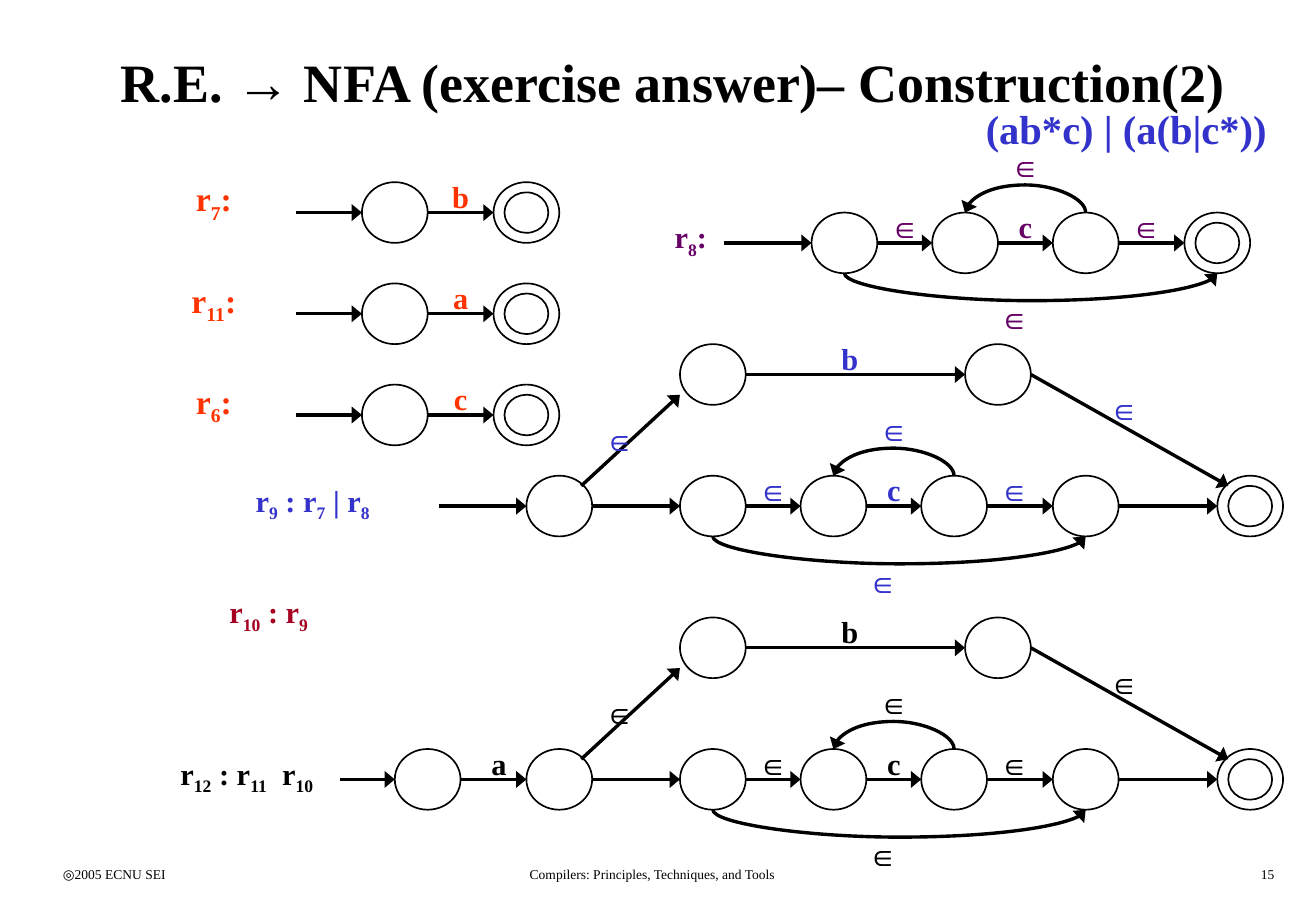
from lxml import etree
from pptx import Presentation
from pptx import util as u
from pptx.dml.color import RGBColor
from pptx.enum import shapes, text
from pptx.oxml import ns

THEME = {
    "font": "Times New Roman",
    "black": "000000", "orange": "FF3300", "blue": "3333CC",
    "purple": "660066", "red": "A50021",
    "title": 32, "formula": 24, "basic": 20, "label": 18, "footer": 8,
    "outline": 1, "arrow": 2,
}

deck = Presentation()
deck.slide_width, deck.slide_height = u.Inches(10.83), u.Inches(7.5)
page = deck.slides.add_slide(deck.slide_layouts[6])

# Grid of 120 columns and 90 rows; a state is 6 by 6
COL, ROW = deck.slide_width / 120, deck.slide_height / 90
STATE, RING, LINE = 6, 4, 4.8
CENTER, LEFT, RIGHT = text.PP_ALIGN.CENTER, text.PP_ALIGN.LEFT, text.PP_ALIGN.RIGHT


def write(words, col, row, cols, color, size="label", align=CENTER, rows=LINE):
    """Text box; every second part between underscores is a subscript."""
    box = page.shapes.add_textbox(*map(int, (col * COL, row * ROW, cols * COL, rows * ROW)))
    frame = box.text_frame
    frame.word_wrap = True
    if size == "title":
        frame.vertical_anchor = text.MSO_ANCHOR.MIDDLE
    para = frame.paragraphs[0]
    para.alignment = align
    for index, part in enumerate(words.split("_")):
        span = para.add_run()
        span.text = part
        span.font.name, span.font.size = THEME["font"], u.Pt(THEME[size])
        span.font.bold = size != "footer"
        span.font.color.rgb = RGBColor.from_string(THEME[color])
        if index % 2:
            span.font._element.set("baseline", "-25000")


def arrow(kind, *ends):
    """Connector with a wide triangle head, between two points in EMU."""
    line = page.shapes.add_connector(kind, *map(int, ends))
    line.line.width = u.Pt(THEME["arrow"])
    line.line.color.rgb = RGBColor.from_string(THEME["black"])
    etree.SubElement(line.line._get_or_add_ln(), ns.qn("a:tailEnd"),
                     type="triangle", w="lg", len="med")
    etree.SubElement(line._element.spPr, ns.qn("a:effectLst"))
    return line


# Title, formula and footer
write("R.E. → NFA (exercise answer)– Construction(2)", 4.65, 2, 113.5, "black", "title", rows=12)
write("(ab*c) | (a(b|c*))", 88.8, 9.7, 31, "blue", "formula", LEFT, 6)
for words, col, cols, align in [
    ("◎2005 ECNU SEI", 4.65, 25, LEFT),
    ("Compilers: Principles, Techniques, and Tools", 37, 45, CENTER),
    ("15", 92.3, 25, RIGHT),
]:
    write(words, col, 85, cols, "black", "footer", align, 3)

# Names of the expressions
for words, col, row, cols, color in [
    ("r_8_:", 59, 21, 8, "purple"),
    ("r_9_ : r_7_ | r_8", 20, 47, 17, "blue"),
    ("r_10_ : r_9", 16, 58, 17, "red"),
    ("r_12_ : r_11_  r_10", 14, 74, 17, "black"),
]:
    write(words, col, row, cols, color)

states, finals, moves, arcs, marks = [], [], [], [], []

# Single symbols: r7, r11, r6
for index, (name, symbol) in enumerate([("r_7_:", "b"), ("r_11_:", "a"), ("r_6_:", "c")]):
    row = 18 + 10 * index
    write(name, 15, row - 1, 9, "orange", "basic", rows=5.2)
    write(symbol, 39, row - 1, 6, "orange")
    states.append((33, row))
    finals.append((45, row))
    moves += [(27, row + 3, 33, row + 3), (39, row + 3, 45, row + 3)]

# Closure c* in r8, r9 and r12; only r8 ends with it
for col, row, color in [(74, 21, "purple"), (62, 47, "blue"), (62, 74, "black")]:
    states += [(col + step, row) for step in (0, 11, 22)]
    (finals if color == "purple" else states).append((col + 34, row))
    moves += [(col + start, row + 3, col + end, row + 3)
              for start, end in [(-8, 0), (6, 11), (17, 22), (28, 34)]]
    arcs += [(col + 3, col + 37, row + STATE), (col + 25, col + 14, row)]
    marks += [(mark, col + right, row + down, color) for mark, right, down in [
        ("∈", 5, -1), ("c", 16, -1), ("∈", 27, -1), ("∈", 16, -7), ("∈", 15, 8)]]

# Union b | c* in r9 and r12
for row, color in [(47, "blue"), (74, "black")]:
    states += [(48, row), (62, row - 13), (88, row - 13)]
    finals.append((111, row))
    moves += [(102, row + 3, 111, row + 3), (68, row - 10, 88, row - 10),
              (94, row - 10, 112, row + 1), (53, row + 1, 62, row - 8)]
    marks += [("∈", 99, row - 9, color), ("∈", 53, row - 6, color), ("b", 74, row - 14, color)]

# Entries: r9 directly, r12 through a
states.append((36, 74))
moves += [(40, 50, 48, 50), (31, 77, 36, 77), (42, 77, 48, 77)]
marks.append(("a", 42, 73, "black"))

# Draw the states; a final state has an inner ring
circles = [(col, row, STATE) for col, row in states + finals]
circles += [(col + 1, row + 1, RING) for col, row in finals]
for col, row, size in circles:
    circle = page.shapes.add_shape(
        shapes.MSO_SHAPE.OVAL, *map(int, (col * COL, row * ROW, size * COL, size * ROW)))
    circle.shadow.inherit = False
    circle.fill.background()
    circle.line.width = u.Pt(THEME["outline"])
    circle.line.color.rgb = RGBColor.from_string(THEME["black"])

# Draw the straight moves
for x1, y1, x2, y2 in moves:
    arrow(shapes.MSO_CONNECTOR.STRAIGHT, x1 * COL, y1 * ROW, x2 * COL, y2 * ROW)

# Draw the arcs: a thin curve turned on its side, bulging 3 rows
THIN = 1588
for start, end, row in arcs:
    middle, half = (start + end) / 2 * COL, abs(end - start) / 2 * COL
    backward = end < start
    curve = arrow(shapes.MSO_CONNECTOR.CURVE, middle - THIN / 2, row * ROW - half,
                  middle + THIN / 2, row * ROW + half)
    frame = curve._element.spPr.find(ns.qn("a:xfrm"))
    frame.set("rot", "16200000")
    frame.set("flipH", "1")
    if backward:
        frame.set("flipV", "1")
    bulge = round(3 * ROW / THIN * 100000) * (-1 if backward else 1)
    guides = curve._element.spPr.find(ns.qn("a:prstGeom")).find(ns.qn("a:avLst"))
    etree.SubElement(guides, ns.qn("a:gd"), name="adj1", fmla=f"val {bulge}")

# Write the symbols on the moves
for mark, col, row, color in marks:
    write(mark, col, row, 7, color)

deck.save("out.pptx")
